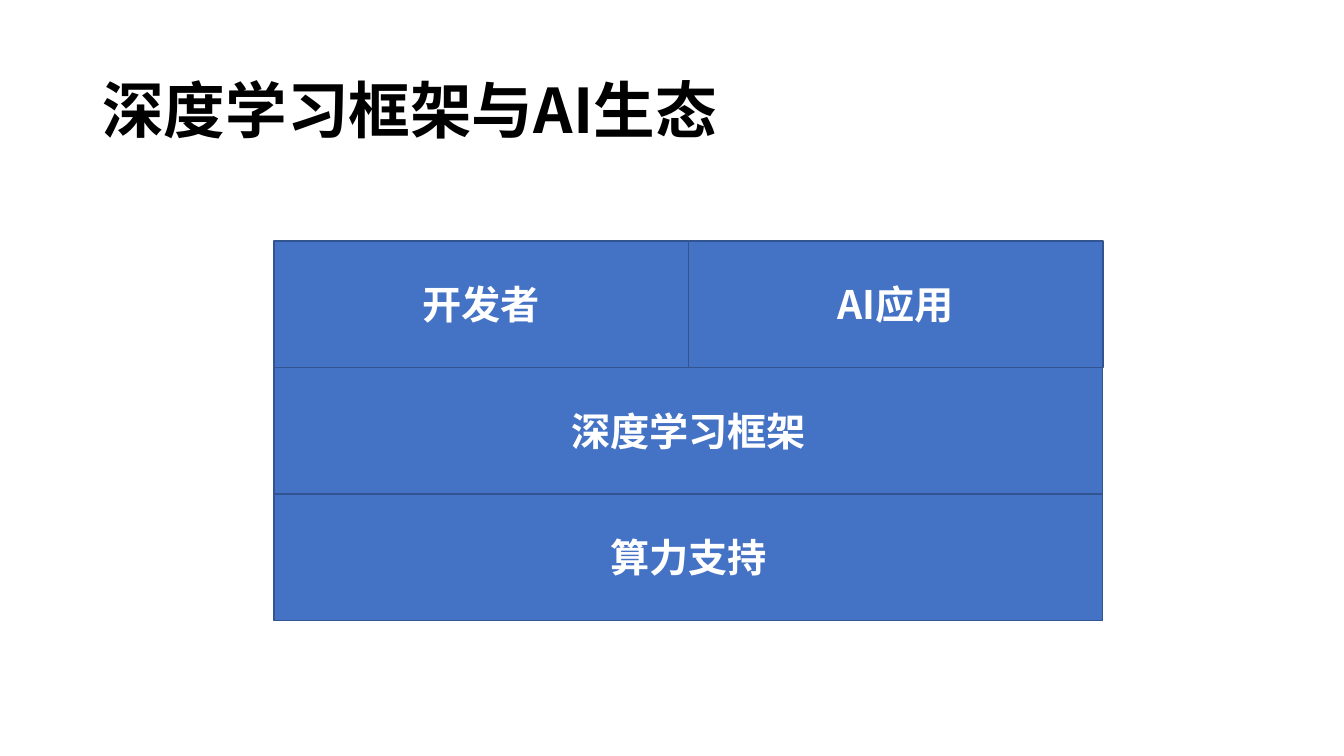
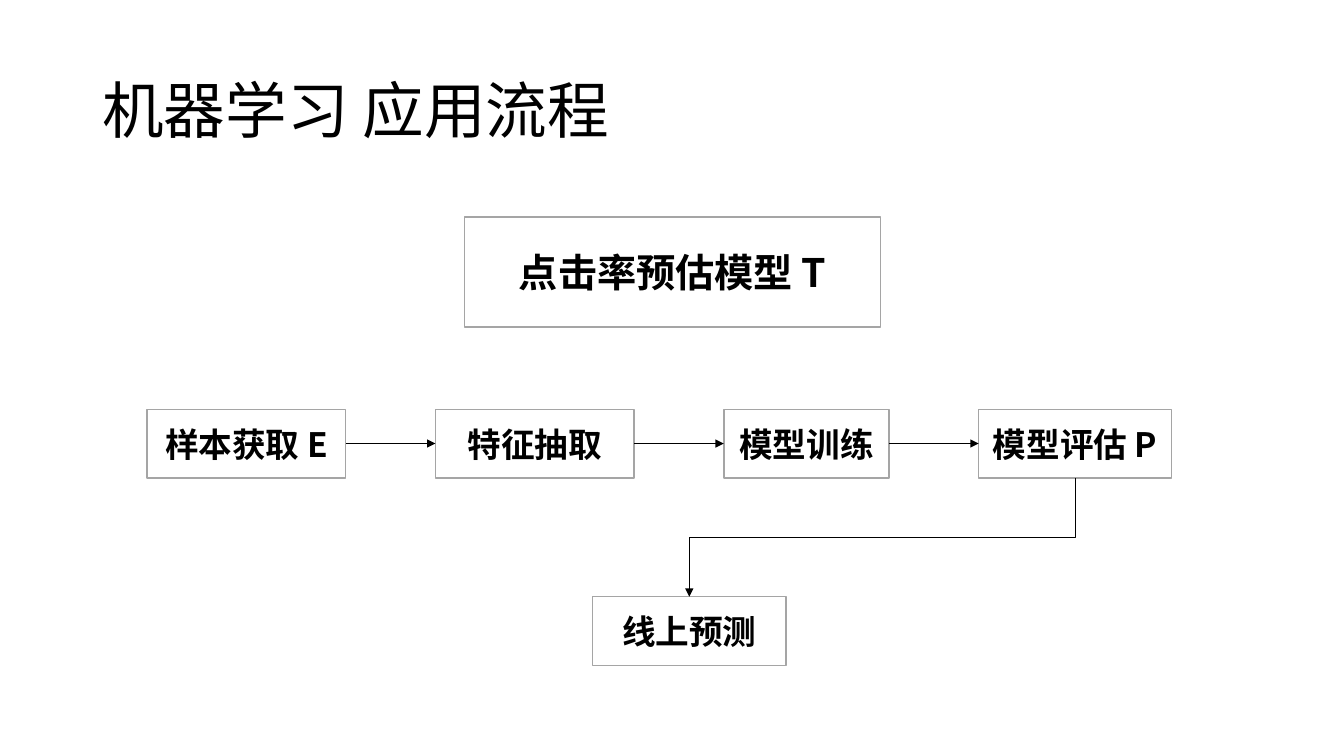
import pptx
import pptx.dml.color
import pptx.enum.shapes
import pptx.enum.text
import pptx.oxml.ns
import pptx.util
from lxml import etree

Pt = pptx.util.Pt
RGBColor = pptx.dml.color.RGBColor
qn = pptx.oxml.ns.qn
MSO_CONNECTOR = pptx.enum.shapes.MSO_CONNECTOR

FONT = "Noto Sans CJK SC"
BLACK = RGBColor(0x00, 0x00, 0x00)
WHITE = RGBColor(0xFF, 0xFF, 0xFF)
BLUE = RGBColor(0x44, 0x72, 0xC4)
DARK_BLUE = RGBColor(0x32, 0x54, 0x91)
GRAY = RGBColor(0xA5, 0xA5, 0xA5)


def write_text(shape, text, size, color, bold):
    frame = shape.text_frame
    frame.word_wrap = True
    frame.vertical_anchor = pptx.enum.text.MSO_ANCHOR.MIDDLE
    paragraph = frame.paragraphs[0]
    paragraph.text = text
    font = paragraph.font
    font.name, font.size, font.bold = FONT, Pt(size), bold
    font.color.rgb = color
    # East Asian typeface, for the Chinese characters
    properties = paragraph._p.pPr.find(qn("a:defRPr"))
    etree.SubElement(properties, qn("a:ea")).set("typeface", FONT)
    return paragraph


def add_box(shapes, text, left, top, width, height, size, fill, line, color):
    box = shapes.add_shape(pptx.enum.shapes.MSO_SHAPE.RECTANGLE,
                           Pt(left), Pt(top), Pt(width), Pt(height))
    box.shadow.inherit = False
    box.fill.solid()
    box.fill.fore_color.rgb = fill
    box.line.color.rgb = line
    box.line.width = Pt(1)
    box.text_frame.margin_left = box.text_frame.margin_right = 0
    paragraph = write_text(box, text, size, color, True)
    paragraph.alignment = pptx.enum.text.PP_ALIGN.CENTER
    return box


presentation = pptx.Presentation()
presentation.slide_width = Pt(960)
presentation.slide_height = Pt(540)

# Slides with their titles
slides = []
for title, bold in [("深度学习框架与AI生态", True), ("机器学习 应用流程", False)]:
    slide = presentation.slides.add_slide(presentation.slide_layouts[6])
    title_box = slide.shapes.add_textbox(Pt(66), Pt(28.8), Pt(828), Pt(104.4))
    write_text(title_box, title, 44, BLACK, bold).line_spacing = 0.9
    slides.append(slide)
stack_slide, flow_slide = slides

# Slide 1: stack of layers, each row split evenly
STACK_LEFT, STACK_TOP, STACK_WIDTH, ROW_HEIGHT = 195.8, 172, 592, 90.4
rows = [["开发者", "AI应用"], ["深度学习框架"], ["算力支持"]]
stack = stack_slide.shapes.add_group_shape()
for row, labels in enumerate(rows):
    width = STACK_WIDTH / len(labels)
    for column, label in enumerate(labels):
        add_box(stack.shapes, label, STACK_LEFT + column * width,
                STACK_TOP + row * ROW_HEIGHT, width, ROW_HEIGHT,
                28, BLUE, DARK_BLUE, WHITE)

# Slide 2: task, row of steps, final step
STEP_TOP, STEP_HEIGHT, STEP_GAP = 292.3, 49, 64
flow_colors = (WHITE, GRAY, BLACK)
add_box(flow_slide.shapes, "点击率预估模型 T", 332, 155, 297, 78.5, 28, *flow_colors)
steps = []
left = 105
for label, width in [("样本获取 E", 142), ("特征抽取", 142),
                     ("模型训练", 118), ("模型评估 P", 138)]:
    steps.append(add_box(flow_slide.shapes, label, left, STEP_TOP, width,
                         STEP_HEIGHT, 24, *flow_colors))
    left += width + STEP_GAP
prediction = add_box(flow_slide.shapes, "线上预测", 423.4, 426.2, 138,
                     STEP_HEIGHT, 24, *flow_colors)

# Arrows, glued to box sides: 0 top, 1 left, 2 bottom, 3 right
links = [(MSO_CONNECTOR.STRAIGHT, start, 3, end, 1)
         for start, end in zip(steps, steps[1:])]
links.append((MSO_CONNECTOR.ELBOW, steps[-1], 2, prediction, 0))
for kind, start, start_side, end, end_side in links:
    arrow = flow_slide.shapes.add_connector(kind, 0, 0, 0, 0)
    arrow.begin_connect(start, start_side)
    arrow.end_connect(end, end_side)
    arrow.line.color.rgb = BLACK
    arrow.line.width = Pt(0.5)
    line = arrow.line._get_or_add_ln()
    etree.SubElement(line, qn("a:tailEnd")).set("type", "triangle")
    etree.SubElement(arrow._element.spPr, qn("a:effectLst"))

# Turn the elbow by a quarter, so that it leaves its box downwards
elbow = arrow
across, down = elbow.width, elbow.height
elbow.left += (across - down) // 2
elbow.top += (down - across) // 2
elbow.width, elbow.height = down, across
transform = elbow._element.spPr.find(qn("a:xfrm"))
transform.attrib.pop("flipH", None)
transform.set("rot", "5400000")

presentation.save("out.pptx")
